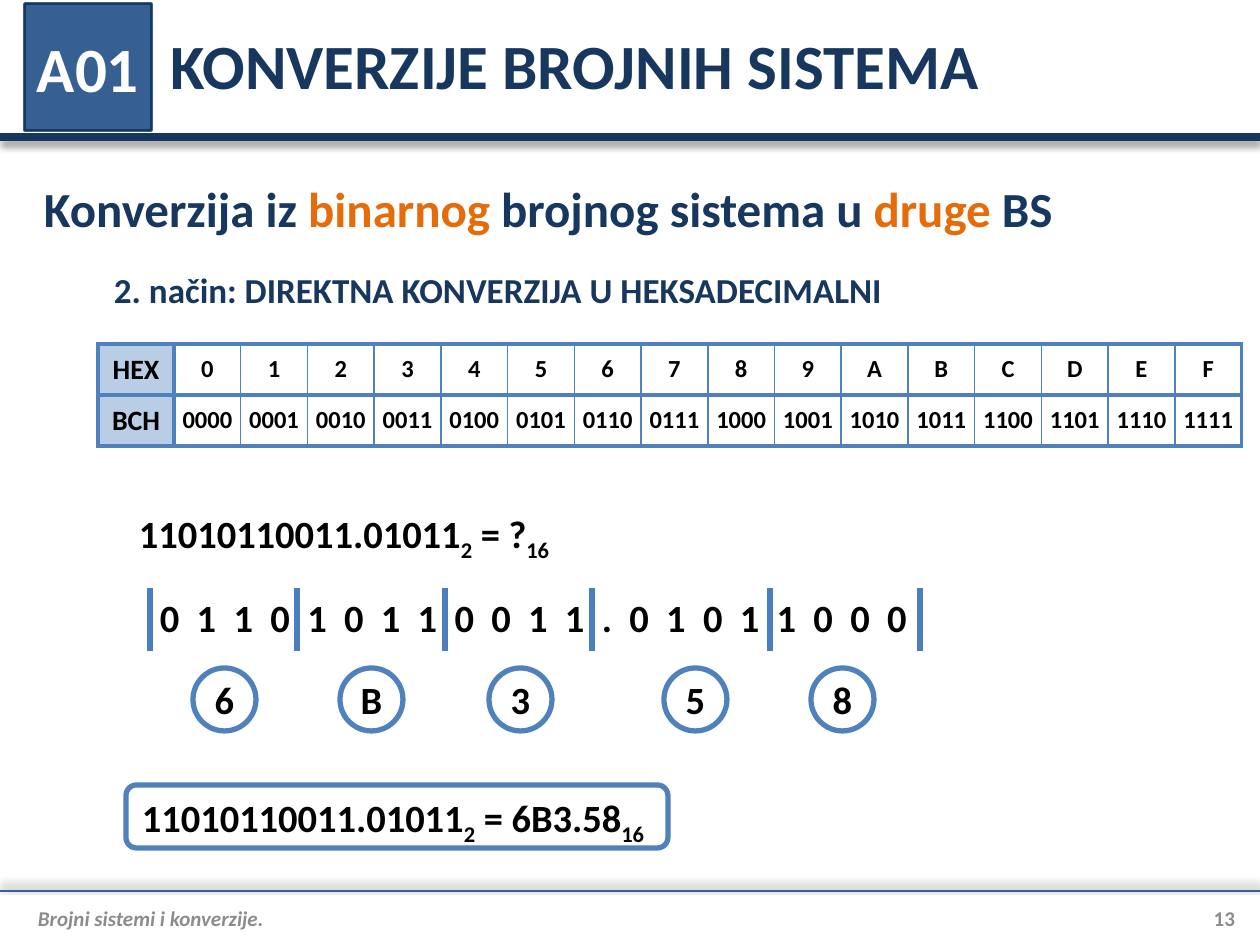
"""Build a slide on converting binary numbers to hexadecimal."""
from dataclasses import dataclass
from typing import Any, NamedTuple, Optional

import lxml.etree
import pptx
import pptx.dml.color
import pptx.enum.shapes
import pptx.enum.text
import pptx.oxml
import pptx.oxml.ns
import pptx.util

NAVY, STEEL, BLUE, ORANGE = "17375E", "376092", "4F81BD", "E46C0A"
BLACK, WHITE, GRAY, PALE, DIVIDER = "000000", "FFFFFF", "8C8C8C", "B9CDE5", "4B7EBC"
ALIGN = pptx.enum.text.PP_ALIGN
ANCHOR = pptx.enum.text.MSO_ANCHOR
SHAPE = pptx.enum.shapes.MSO_SHAPE
NUMBER = "11010110011.01011"
MARGINS = ("margin_left", "margin_top", "margin_right", "margin_bottom")


class Frame(NamedTuple):
    left: int
    top: int
    width: int
    height: int


class Span(NamedTuple):
    text: str
    color: Optional[str] = None
    baseline: int = 0


@dataclass(frozen=True)
class Look:
    size: int
    color: str = BLACK
    align: Any = ALIGN.LEFT
    anchor: Any = ANCHOR.MIDDLE
    margins: tuple = (13, 6, 13, 6)
    italic: bool = False
    spacing: int = 0


@dataclass(frozen=True)
class Rule:
    start: tuple
    end: tuple
    color: str
    width: float
    shadow_angle: Optional[int] = None


class Digit(NamedTuple):
    text: str
    left: int


TIGHT = (0, 0, 0, 0)
FORMULA = Look(22, anchor=ANCHOR.TOP)
BITS = Look(22, anchor=ANCHOR.TOP, spacing=249)
CENTERED = Look(22, align=ALIGN.CENTER, margins=TIGHT)
HEADER = Look(16, align=ALIGN.CENTER, margins=TIGHT)
VALUE = Look(14, align=ALIGN.CENTER, margins=TIGHT)
BADGE = Look(36, WHITE, ALIGN.CENTER, margins=TIGHT)

RULES = [
    Rule((0, 137), (1260, 137), NAVY, 4.5, 90),
    Rule((0, 891), (1260, 891), STEEL, 1.5, 270),
    *(Rule((x, 588), (x, 651), DIVIDER, 3) for x in (150, 297, 445, 592, 770, 920)),
]
DIGITS = [Digit("6", 193), Digit("B", 340), Digit("3", 489), Digit("5", 664), Digit("8", 811)]
TEXTS = [
    (Frame(25, 896, 1147, 44), [Span("Brojni sistemi i konverzije.")],
     Look(12, GRAY, margins=(13, 0, 0, 0), italic=True)),
    (Frame(1172, 896, 63, 44), [Span("13")], Look(12, GRAY, ALIGN.RIGHT, margins=TIGHT)),
    (Frame(31, 176, 1061, 63),
     [Span("Konverzija iz "), Span("binarnog", ORANGE), Span(" brojnog sistema u "),
      Span("druge", ORANGE), Span(" BS")], Look(28, NAVY)),
    (Frame(101, 258, 798, 63), [Span("2. način: DIREKTNA KONVERZIJA U HEKSADECIMALNI")],
     Look(20, NAVY)),
    (Frame(126, 504, 441, 63),
     [Span(NUMBER), Span("2", baseline=-25), Span(" = ?"), Span("16", baseline=-25)], FORMULA),
    (Frame(147, 588, 776, 63), [Span(" ".join("011010110011.01011000"))], BITS),
]


def emu(px: int) -> int:
    """Turn pixels into EMU."""
    return round(px * 914400 / 126)


def rgb(color: str) -> pptx.dml.color.RGBColor:
    """Turn a hex string into a colour."""
    return pptx.dml.color.RGBColor.from_string(color)


def apply(target: Any, values: dict) -> None:
    """Set each named attribute on the target."""
    for name, value in values.items():
        setattr(target, name, value)


def place(shape: Any, frame: Frame) -> None:
    """Move and size a shape."""
    apply(shape, {name: emu(px) for name, px in zip(Frame._fields, frame)})


def write(text_frame: Any, spans: list, look: Look) -> None:
    """Fill the first paragraph of a text frame with formatted spans."""
    para = text_frame.paragraphs[0]
    apply(para, {"alignment": look.align, "space_before": pptx.util.Pt(0)})
    for item in spans:
        span = para.add_run()
        span.text = item.text
        apply(span.font, {"name": "Calibri", "size": pptx.util.Pt(look.size),
                          "bold": True, "italic": look.italic})
        span.font.color.rgb = rgb(item.color or look.color)
        marks = {"baseline": item.baseline * 1000, "spc": look.spacing}
        for name, value in marks.items():
            if value:
                span._r.get_or_add_rPr().set(name, str(value))


def fill_box(shape: Any, spans: list, look: Look) -> None:
    """Set up the text frame of a shape and write in it."""
    box = shape.text_frame
    apply(box, {"word_wrap": True, "auto_size": pptx.enum.text.MSO_AUTO_SIZE.NONE,
                "vertical_anchor": look.anchor,
                **{name: emu(px) for name, px in zip(MARGINS, look.margins)}})
    write(box, spans, look)


def style(shape: Any, line: str, width: float, fill: Optional[str] = None) -> None:
    """Give a shape its outline and fill."""
    shape.line.color.rgb = rgb(line)
    shape.line.width = pptx.util.Pt(width)
    if fill:
        shape.fill.solid()
        shape.fill.fore_color.rgb = rgb(fill)
    else:
        shape.fill.background()


def add_outline(page: Any, kind: Any, frame: Frame, line: str, width: float,
                fill: Optional[str] = None) -> Any:
    """Add a preset shape without a shadow."""
    shape = page.shapes.add_shape(kind, *map(emu, frame))
    shape.shadow.inherit = False
    style(shape, line, width, fill)
    return shape


def add_rule(page: Any, rule: Rule) -> None:
    """Draw a straight line, with a soft shadow if it has an angle."""
    line = page.shapes.add_connector(pptx.enum.shapes.MSO_CONNECTOR.STRAIGHT,
                                     *map(emu, rule.start + rule.end))
    line.line.color.rgb = rgb(rule.color)
    line.line.width = pptx.util.Pt(rule.width)
    qn = pptx.oxml.ns.qn
    effects = lxml.etree.SubElement(line._element.spPr, qn("a:effectLst"))
    if rule.shadow_angle is not None:
        shadow = lxml.etree.SubElement(
            effects, qn("a:outerShdw"), blurRad=str(pptx.util.Pt(4)),
            dist=str(pptx.util.Pt(3)), dir=str(rule.shadow_angle * 60000), rotWithShape="0")
        tone = lxml.etree.SubElement(shadow, qn("a:srgbClr"), val=BLACK)
        lxml.etree.SubElement(tone, qn("a:alpha"), val="40000")


def add_border(cell: Any, side: str, width: float) -> None:
    """Draw one side of a cell."""
    qn = pptx.oxml.ns.qn
    edge = lxml.etree.SubElement(cell._tc.get_or_add_tcPr(), qn(f"a:ln{side}"),
                                 w=str(pptx.util.Pt(width)))
    solid = lxml.etree.SubElement(edge, qn("a:solidFill"))
    lxml.etree.SubElement(solid, qn("a:srgbClr"), val=BLUE)


def add_code_table(page: Any) -> None:
    """Add the table of hexadecimal digits and their binary codes."""
    rows = [["HEX", *(f"{n:X}" for n in range(16))], ["BCH", *(f"{n:04b}" for n in range(16))]]
    last = len(rows[0]) - 1
    table = page.shapes.add_table(2, last + 1, *map(emu, Frame(98, 344, 1144, 102))).table
    apply(table, {"first_row": False, "horz_banding": False})
    for index, column in enumerate(table.columns):
        column.width = emu(1068) // last if index else emu(76)
    for row_index, texts in enumerate(rows):
        for index, text in enumerate(texts):
            cell = table.cell(row_index, index)
            look = VALUE if index else HEADER
            apply(cell, {"vertical_anchor": look.anchor, **dict.fromkeys(MARGINS, 0)})
            sides = {"L": 2.25 if index < 2 else 1, "R": 2.25 if index in (0, last) else 1,
                     "T": 2.25, "B": 2.25}
            for side, width in sides.items():
                add_border(cell, side, width)
            if index:
                cell.fill.background()
            else:
                cell.fill.solid()
                cell.fill.fore_color.rgb = rgb(PALE)
            write(cell.text_frame, [Span(text)], look)


def add_heading(page: Any) -> None:
    """Fill the title and the lesson badge."""
    title, badge = page.placeholders
    place(title, Frame(158, 1, 1077, 126))
    fill_box(title, [Span("KONVERZIJE BROJNIH SISTEMA")], Look(36, NAVY))
    frame = Frame(25, 4, 126, 126)
    place(badge, frame)
    style(badge, NAVY, 0.75, STEEL)
    props = badge.text_frame.paragraphs[0]._p.get_or_add_pPr()
    apply_indent = {"marL": "0", "indent": "0"}
    for name, value in apply_indent.items():
        props.set(name, value)
    lxml.etree.SubElement(props, pptx.oxml.ns.qn("a:buNone"))
    fill_box(badge, [Span("A01")], BADGE)
    plate = add_outline(page, SHAPE.RECTANGLE, frame, "3A5F8C", 2, BLUE)
    badge.element.addprevious(plate.element)


def main() -> None:
    """Build and save the deck."""
    deck = pptx.Presentation()
    apply(deck, {"slide_width": emu(1260), "slide_height": emu(945)})
    page = deck.slides.add_slide(deck.slide_layouts[1])
    add_heading(page)
    for rule in RULES:
        add_rule(page, rule)
    for frame, spans, look in TEXTS:
        fill_box(page.shapes.add_textbox(*map(emu, frame)), spans, look)
    add_code_table(page)
    for digit in DIGITS:
        circle = add_outline(page, SHAPE.OVAL, Frame(digit.left, 668, 63, 63), BLUE, 3)
        fill_box(circle, [Span(digit.text)], CENTERED)
    answer = add_outline(page, SHAPE.FLOWCHART_ALTERNATE_PROCESS, Frame(126, 785, 542, 63), BLUE, 3)
    fill_box(answer, [Span(NUMBER), Span("2", baseline=-25), Span(" = 6B3.58"),
                      Span("16", baseline=-25)], FORMULA)


    deck.save("out.pptx")


if __name__ == "__main__":
    main()
